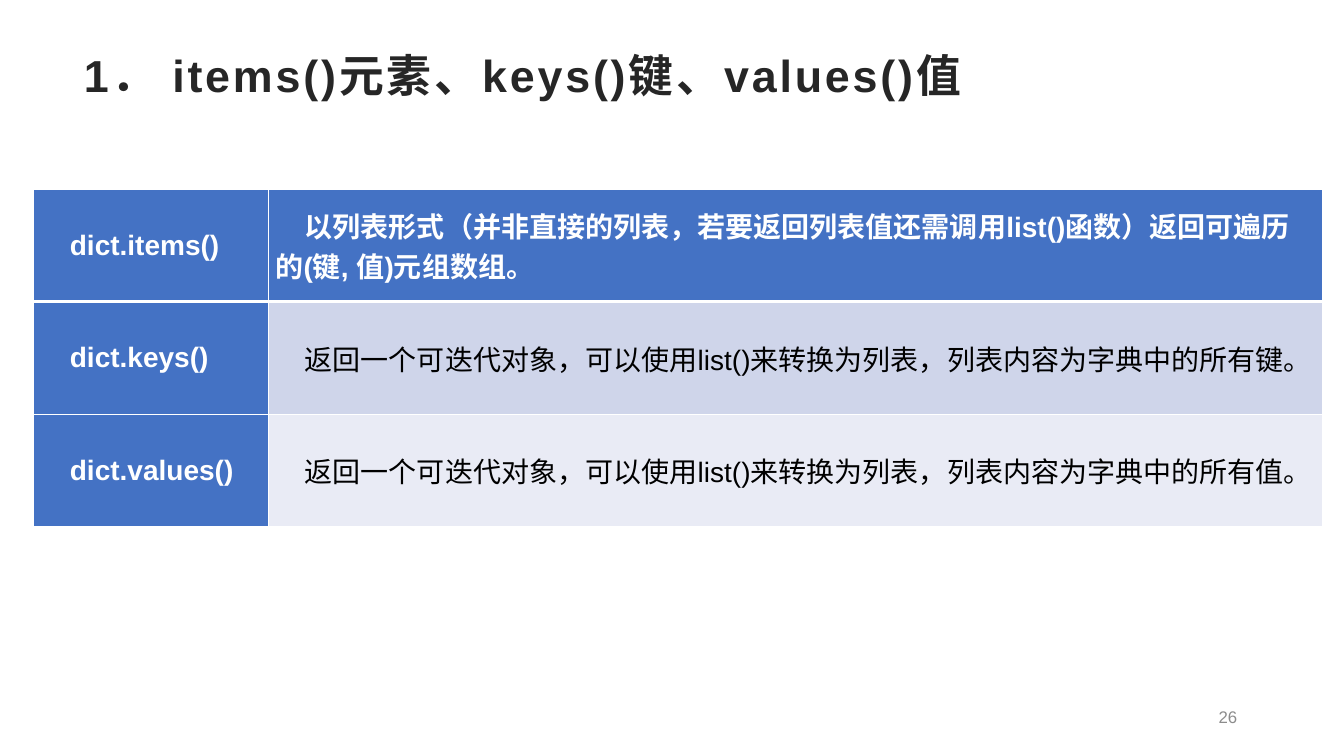
from dataclasses import dataclass

from lxml import etree
from pptx import Presentation
from pptx import util as u
from pptx.dml.color import RGBColor
from pptx.enum import text
from pptx.oxml import ns

WIDTH, HEIGHT = 13.33, 7.5
FONT = "Arial"
WHITE = RGBColor(0xFF, 0xFF, 0xFF)
BLACK = RGBColor(0, 0, 0)
TITLE_COLOR = RGBColor(0x26, 0x26, 0x26)
NUMBER_COLOR = RGBColor(0x8C, 0x8C, 0x8C)
BLUE = RGBColor(0x44, 0x72, 0xC4)
BAND_DARK = RGBColor(0xCF, 0xD5, 0xEA)
BAND_LIGHT = RGBColor(0xE9, 0xEB, 0xF5)
FIRST_LINE_INDENT = u.Inches(0.29)
COLUMN_WIDTHS = (2.33, 10.45)
ROW_HEIGHT = 3.35 / 3


@dataclass(frozen=True)
class Box:
    left: float
    top: float
    width: float
    height: float

    def place(self) -> tuple[int, int, int, int]:
        return tuple(u.Inches(value) for value in
                     (self.left, self.top, self.width, self.height))


@dataclass(frozen=True)
class Method:
    name: str
    description: str
    fill: RGBColor
    color: RGBColor = BLACK
    bold: bool = False
    bottom_border: float = 1


TITLE_BOX = Box(0.055 * WIDTH, 0.064 * HEIGHT, 0.89 * WIDTH, 0.104 * HEIGHT)
TABLE_BOX = Box(0.025 * WIDTH, 0.25 * HEIGHT, sum(COLUMN_WIDTHS), 3 * ROW_HEIGHT)
NUMBER_BOX = Box(9.42, 0.925 * HEIGHT, 2.95, 0.047 * HEIGHT)

METHODS = (
    Method("dict.items()",
           "以列表形式（并非直接的列表，若要返回列表值还需调用list()函数）返回可遍历的(键, 值)元组数组。",
           BLUE, WHITE, True, 3),
    Method("dict.keys()",
           "返回一个可迭代对象，可以使用list()来转换为列表，列表内容为字典中的所有键。",
           BAND_DARK),
    Method("dict.values()",
           "返回一个可迭代对象，可以使用list()来转换为列表，列表内容为字典中的所有值。",
           BAND_LIGHT),
)


def write(frame, content: str, *, size: float, color: RGBColor, bold: bool = False,
          align=text.PP_ALIGN.LEFT, indent: int = 0, spacing: float = 0,
          line_spacing: float = 1.0) -> None:
    frame.word_wrap = True
    paragraph = frame.paragraphs[0]
    paragraph.alignment = align
    paragraph.line_spacing = line_spacing
    if indent:
        properties = paragraph._p.get_or_add_pPr()
        properties.set("marL", "0")
        properties.set("indent", str(indent))
    run = paragraph.add_run()
    run.text = content
    run.font.name = FONT
    run.font.size = u.Pt(size)
    run.font.bold = bold
    run.font.color.rgb = color
    if spacing:
        run._r.get_or_add_rPr().set("spc", str(round(spacing * 100)))


def add_text(slide, box: Box, content: str, anchor, **formatting) -> None:
    frame = slide.shapes.add_textbox(*box.place()).text_frame
    frame.vertical_anchor = anchor
    write(frame, content, **formatting)


def set_borders(cell, top: float, bottom: float) -> None:
    properties = cell._tc.get_or_add_tcPr()
    widths = {"lnL": 1, "lnR": 1, "lnT": top, "lnB": bottom}
    for position, (side, width) in enumerate(widths.items()):
        line = etree.Element(ns.qn(f"a:{side}"), w=str(u.Pt(width)))
        fill = etree.SubElement(line, ns.qn("a:solidFill"))
        etree.SubElement(fill, ns.qn("a:srgbClr"), val=str(WHITE))
        properties.insert(position, line)


def fill_cell(cell, content: str, fill: RGBColor, color: RGBColor, bold: bool) -> None:
    cell.fill.solid()
    cell.fill.fore_color.rgb = fill
    cell.vertical_anchor = text.MSO_ANCHOR.MIDDLE
    cell.margin_left = cell.margin_right = u.Inches(0.07)
    cell.margin_top = cell.margin_bottom = 0
    write(cell.text_frame, content, size=20, color=color, bold=bold,
          indent=FIRST_LINE_INDENT)


def add_method_table(slide) -> None:
    table = slide.shapes.add_table(
        len(METHODS), len(COLUMN_WIDTHS), *TABLE_BOX.place()).table
    table.first_col = True
    table.horz_banding = False
    for column, width in zip(table.columns, COLUMN_WIDTHS):
        column.width = u.Inches(width)
    top_border = 1
    for row, method in zip(table.rows, METHODS):
        row.height = u.Inches(ROW_HEIGHT)
        name_cell, description_cell = row.cells
        fill_cell(name_cell, method.name, BLUE, WHITE, True)
        fill_cell(description_cell, method.description, method.fill,
                  method.color, method.bold)
        for cell in (name_cell, description_cell):
            set_borders(cell, top_border, method.bottom_border)
        top_border = method.bottom_border


def main() -> None:
    presentation = Presentation()
    presentation.slide_width = u.Inches(WIDTH)
    presentation.slide_height = u.Inches(HEIGHT)
    slide = presentation.slides.add_slide(presentation.slide_layouts[6])
    add_text(slide, TITLE_BOX, "1． items()元素、keys()键、values()值",
             text.MSO_ANCHOR.TOP, size=32, color=TITLE_COLOR, bold=True,
             spacing=2, line_spacing=0.9)
    add_method_table(slide)
    add_text(slide, NUMBER_BOX, "26", text.MSO_ANCHOR.MIDDLE, size=12,
             color=NUMBER_COLOR, align=text.PP_ALIGN.RIGHT)
    presentation.save("out.pptx")


if __name__ == "__main__":
    main()
